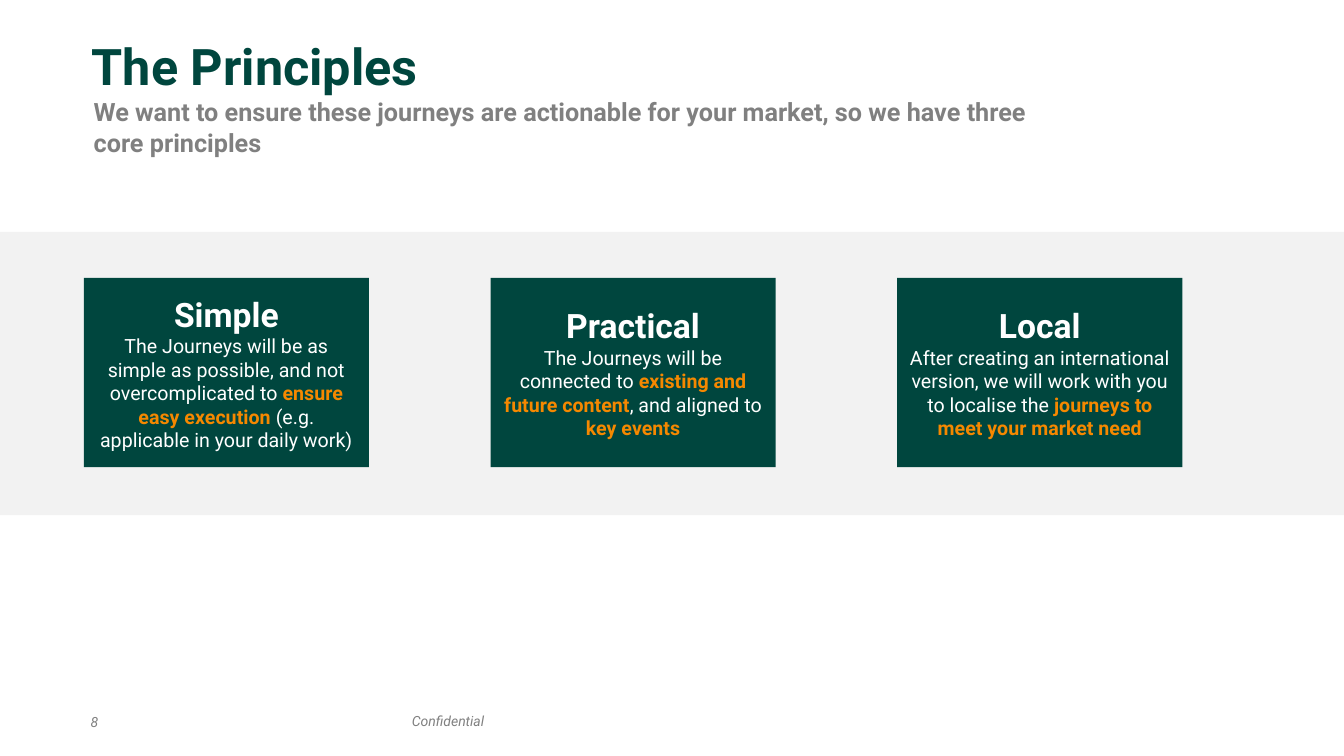
from pptx import Presentation
from pptx.dml.color import RGBColor
from pptx.enum.shapes import MSO_SHAPE
from pptx.enum.text import MSO_ANCHOR, MSO_AUTO_SIZE, PP_ALIGN
from pptx.util import Pt

GREEN = RGBColor(0x00, 0x46, 0x3E)
ORANGE = RGBColor(0xF5, 0x88, 0x00)
WHITE = RGBColor(0xFF, 0xFF, 0xFF)
GREY = RGBColor(0x80, 0x80, 0x80)
PALE_GREY = RGBColor(0xF2, 0xF2, 0xF2)
FONT = "Roboto"

PRINCIPLES = [
    ("Simple", [
        ("The Journeys will be as simple as possible, and not overcomplicated to ", False),
        ("ensure easy execution ", True),
        ("(e.g. applicable in your daily work)", False),
    ]),
    ("Practical", [
        ("The Journeys will be connected to ", False),
        ("existing and future content", True),
        (", and aligned to ", False),
        ("key events", True),
    ]),
    ("Local", [
        ("After creating an international version, we will work with you to localise the ", False),
        ("journeys to meet your market need", True),
    ]),
]


def format_font(font, size, color, bold=False, italic=False):
    font.name = FONT
    font.size = Pt(size)
    font.color.rgb = color
    font.bold = bold
    font.italic = italic


def add_rectangle(slide, left, top, width, height, color):
    rectangle = slide.shapes.add_shape(
        MSO_SHAPE.RECTANGLE, Pt(left), Pt(top), Pt(width), Pt(height))
    rectangle.shadow.inherit = False
    rectangle.fill.solid()
    rectangle.fill.fore_color.rgb = color
    rectangle.line.fill.background()
    return rectangle


def add_label(slide, left, top, width, height, text, size, wrap=False, **style):
    label = slide.shapes.add_textbox(Pt(left), Pt(top), Pt(width), Pt(height))
    label.text_frame.word_wrap = wrap
    label.text_frame.text = text
    format_font(label.text_frame.paragraphs[0].runs[0].font, size, GREY, **style)


def add_heading(slide, left, top, width, height):
    title = slide.shapes.title
    title.left, title.top = Pt(left), Pt(top)
    title.width, title.height = Pt(width), Pt(height)
    frame = title.text_frame
    frame.text = "The Principles"
    frame.auto_size = MSO_AUTO_SIZE.NONE
    frame.vertical_anchor = MSO_ANCHOR.TOP
    frame.margin_top, frame.margin_bottom = Pt(4), Pt(0)
    paragraph = frame.paragraphs[0]
    paragraph.alignment = PP_ALIGN.LEFT
    format_font(paragraph.runs[0].font, 36, GREEN, bold=True)
    add_label(
        slide, left + 1.5, top + 44.6, 707, 51,
        "We want to ensure these journeys are actionable for your market, "
        "so we have three core principles",
        18, wrap=True, bold=True)


def add_principle(slide, left, top, width, height, name, parts):
    card = add_rectangle(slide, left, top, width, height, GREEN)
    frame = card.text_frame
    frame.word_wrap = True
    frame.vertical_anchor = MSO_ANCHOR.MIDDLE
    frame.text = name
    heading = frame.paragraphs[0]
    heading.alignment = PP_ALIGN.CENTER
    format_font(heading.runs[0].font, 24, WHITE, bold=True)
    body = frame.add_paragraph()
    body.alignment = PP_ALIGN.CENTER
    for text, highlighted in parts:
        run = body.add_run()
        run.text = text
        format_font(run.font, 14, ORANGE if highlighted else WHITE, bold=highlighted)


def add_principles_band(slide, left, top, width, height):
    add_rectangle(slide, left, top, width, height, PALE_GREY)
    card_width, card_height, card_pitch = 203.7, 135.2, 290.5
    for index, (name, parts) in enumerate(PRINCIPLES):
        add_principle(slide, left + 59.9 + index * card_pitch, top + 32.9,
                      card_width, card_height, name, parts)


def add_footer(slide, left, top, height):
    add_label(slide, left, top + 0.6, 29.5, height, "8", 10, italic=True)
    add_label(slide, left + 229.6, top, 67, height, "Confidential", 10, italic=True)


def main():
    presentation = Presentation()
    presentation.slide_width, presentation.slide_height = Pt(960), Pt(540)
    slide = presentation.slides.add_slide(presentation.slide_layouts[5])
    add_heading(slide, 58.3, 20.9, 836.6, 108)
    add_principles_band(slide, 0, 165.6, 960, 202.3)
    add_footer(slide, 57.6, 505.4, 19.4)
    presentation.save("out.pptx")


if __name__ == "__main__":
    main()
